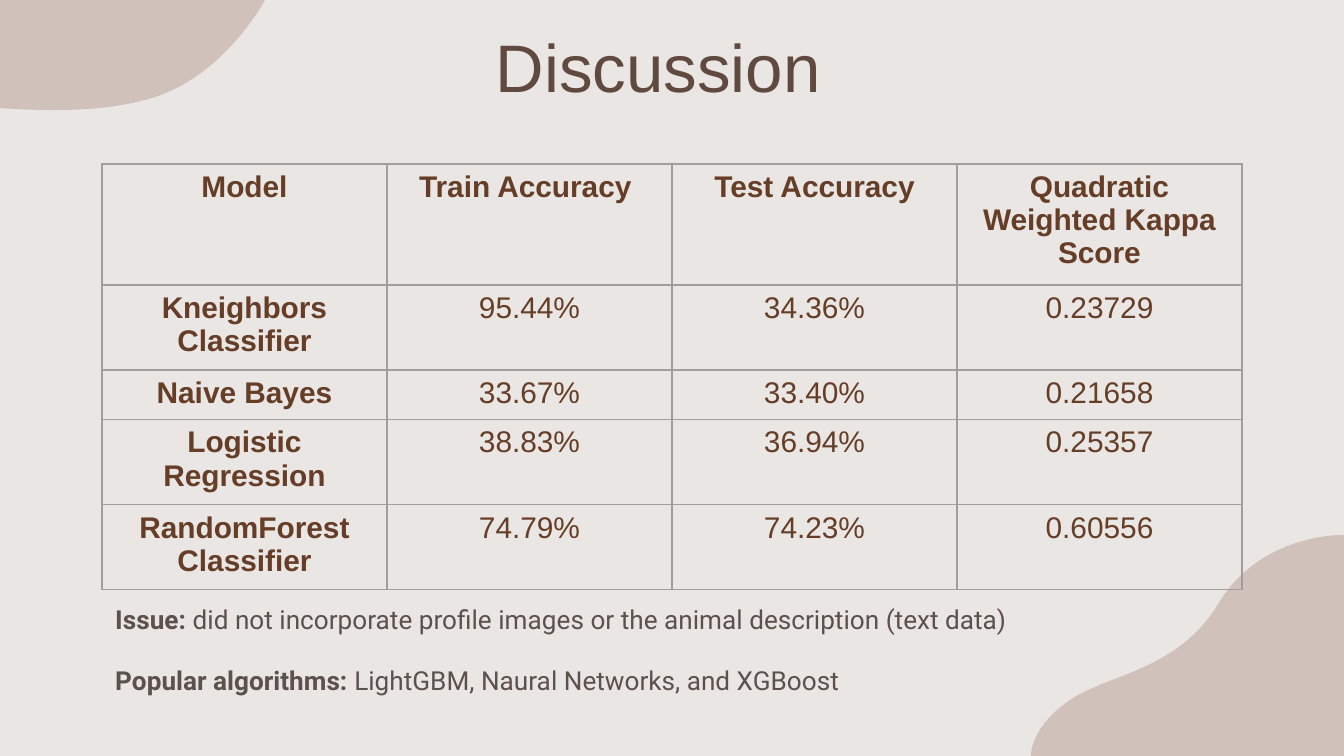
from lxml.etree import SubElement
from pptx import Presentation
from pptx.dml.color import RGBColor
from pptx.enum.text import MSO_ANCHOR as Anchor, PP_ALIGN as Align
from pptx.oxml.ns import qn
from pptx.util import Inches, Pt

PX = 914400 / 134.4  # EMU per pixel
COLORS = {
    "background": "E9E6E4",
    "blob": "D0C2BA",
    "title": "604A40",
    "table": "663D27",
    "border": "9E9E9E",
    "notes": "5C514C",
}
HEADER = ["Model", "Train Accuracy ", "Test Accuracy", "Quadratic Weighted Kappa Score"]
RESULTS = [
    ["Kneighbors\nClassifier", "95.44%", "34.36%", "0.23729"],
    ["Naive Bayes", "33.67%", "33.40%", "0.21658"],
    ["Logistic Regression", "38.83%", "36.94%", "0.25357"],
    ["RandomForest\nClassifier", "74.79%", "74.23%", "0.60556"],
]
NOTES = [
    ("Issue: ", "did not incorporate profile images or the animal description (text data)"),
    ("Popular algorithms: ", "LightGBM, Naural Networks, and XGBoost"),
]
# Each blob: start point, then segments of one point (line) or three (Bézier curve)
BOTTOM_BLOB = [
    (1341, 535),
    [(1343, 535), (1344, 535), (1344, 535)],
    [(1344, 756)],
    [(1031, 756)],
    [(1031, 756), (1029, 728), (1070, 700)],
    [(1110, 673), (1179, 671), (1220, 601)],
    [(1258, 540), (1328, 535), (1341, 535)],
]
TOP_BLOB = [
    (54, 110),
    [(83, 110), (121, 108), (155, 97)],
    [(226, 74), (265, 0), (265, 0)],
    [(0, 0)],
    [(0, 108)],
    [(0, 108), (22, 110), (54, 110)],
]


def px(value):
    return round(value * PX)


def color(name):
    return RGBColor.from_string(COLORS[name])


def bend_segments(shape, segments):
    """Turn the straight segments that have control points into Bézier curves."""
    lines = list(shape._element.iter(qn("a:lnTo")))
    for line, segment in zip(lines, segments):
        if len(segment) == 3:
            curve = SubElement(line.getparent(), qn("a:cubicBezTo"))
            for x, y in segment:
                SubElement(curve, qn("a:pt"), x=str(px(x) - shape.left), y=str(px(y) - shape.top))
            line.getparent().replace(line, curve)


def add_blob(slide, outline):
    start, *segments = outline
    builder = slide.shapes.build_freeform(px(start[0]), px(start[1]))
    ends = [segment[-1] for segment in segments]
    builder.add_line_segments([(px(x), px(y)) for x, y in ends], close=True)
    shape = builder.convert_to_shape()
    bend_segments(shape, segments)
    shape.shadow.inherit = False
    shape.fill.solid()
    shape.fill.fore_color.rgb = color("blob")
    shape.line.fill.background()


def add_run(paragraph, text, size, font, color_name, bold=False):
    run = paragraph.add_run()
    run.text = text
    run.font.size = Pt(size)
    run.font.name = font
    run.font.bold = bold
    run.font.color.rgb = color(color_name)


def add_text_frame(slide, left, top, width, height, top_inset=13):
    box = slide.shapes.add_textbox(px(left), px(top), px(width), px(height))
    frame = box.text_frame
    frame.word_wrap = True
    frame.margin_left = frame.margin_right = frame.margin_bottom = Inches(0.1)
    frame.margin_top = px(top_inset)
    return frame


def next_paragraph(frame, index):
    return frame.add_paragraph() if index else frame.paragraphs[0]


def add_title(slide, text):
    frame = add_text_frame(slide, 88, 33, 1140, 84)
    frame.vertical_anchor = Anchor.BOTTOM
    paragraph = frame.paragraphs[0]
    paragraph.alignment = Align.CENTER
    paragraph.line_spacing = 0.7
    add_run(paragraph, text, 36, "Arial", "title")


def set_borders(cell):
    properties = cell._tc.get_or_add_tcPr()
    for index, side in enumerate(("lnL", "lnR", "lnT", "lnB")):
        line = SubElement(properties, qn(f"a:{side}"), w=str(Pt(0.75)))
        fill = SubElement(line, qn("a:solidFill"))
        SubElement(fill, qn("a:srgbClr"), val=COLORS["border"])
        properties.insert(index, line)


def fill_cell(cell, text, bold):
    cell.fill.background()
    set_borders(cell)
    for index, line in enumerate(text.split("\n")):
        paragraph = next_paragraph(cell.text_frame, index)
        paragraph.alignment = Align.CENTER
        add_run(paragraph, line, 16, "Arial", "table", bold)


def add_results_table(slide, left, top, column_width, height):
    rows = [HEADER, *RESULTS]
    columns = len(HEADER)
    table_frame = slide.shapes.add_table(
        len(rows), columns, px(left), px(top), px(column_width * columns), px(height)
    )
    table = table_frame.table
    table.first_row = table.horz_banding = False
    for column in table.columns:
        column.width = px(column_width)
    for r, values in enumerate(rows):
        # Minimum heights: the rows grow to fit their text
        table.rows[r].height = px(34 if r else 59)
        for c, value in enumerate(values):
            fill_cell(table.cell(r, c), value, bold=r == 0 or c == 0)
    table_frame.height = px(height)


def add_notes_text(slide):
    frame = add_text_frame(slide, 102, 528, 1074, 179, top_inset=75)
    for index, (label, detail) in enumerate(NOTES):
        paragraph = next_paragraph(frame, index)
        paragraph.space_after = Pt(16)
        add_run(paragraph, label, 14, "Roboto", "notes", bold=True)
        add_run(paragraph, detail, 14, "Roboto", "notes")


def main():
    presentation = Presentation()
    presentation.slide_width, presentation.slide_height = px(1344), px(756)
    slide = presentation.slides.add_slide(presentation.slide_layouts[6])

    # Background and corner blobs
    slide.background.fill.solid()
    slide.background.fill.fore_color.rgb = color("background")
    add_blob(slide, BOTTOM_BLOB)
    add_blob(slide, TOP_BLOB)

    # Content
    add_title(slide, "Discussion")
    add_results_table(slide, 102, 164, 285, 353)
    add_notes_text(slide)

    presentation.save("out.pptx")


if __name__ == "__main__":
    main()
